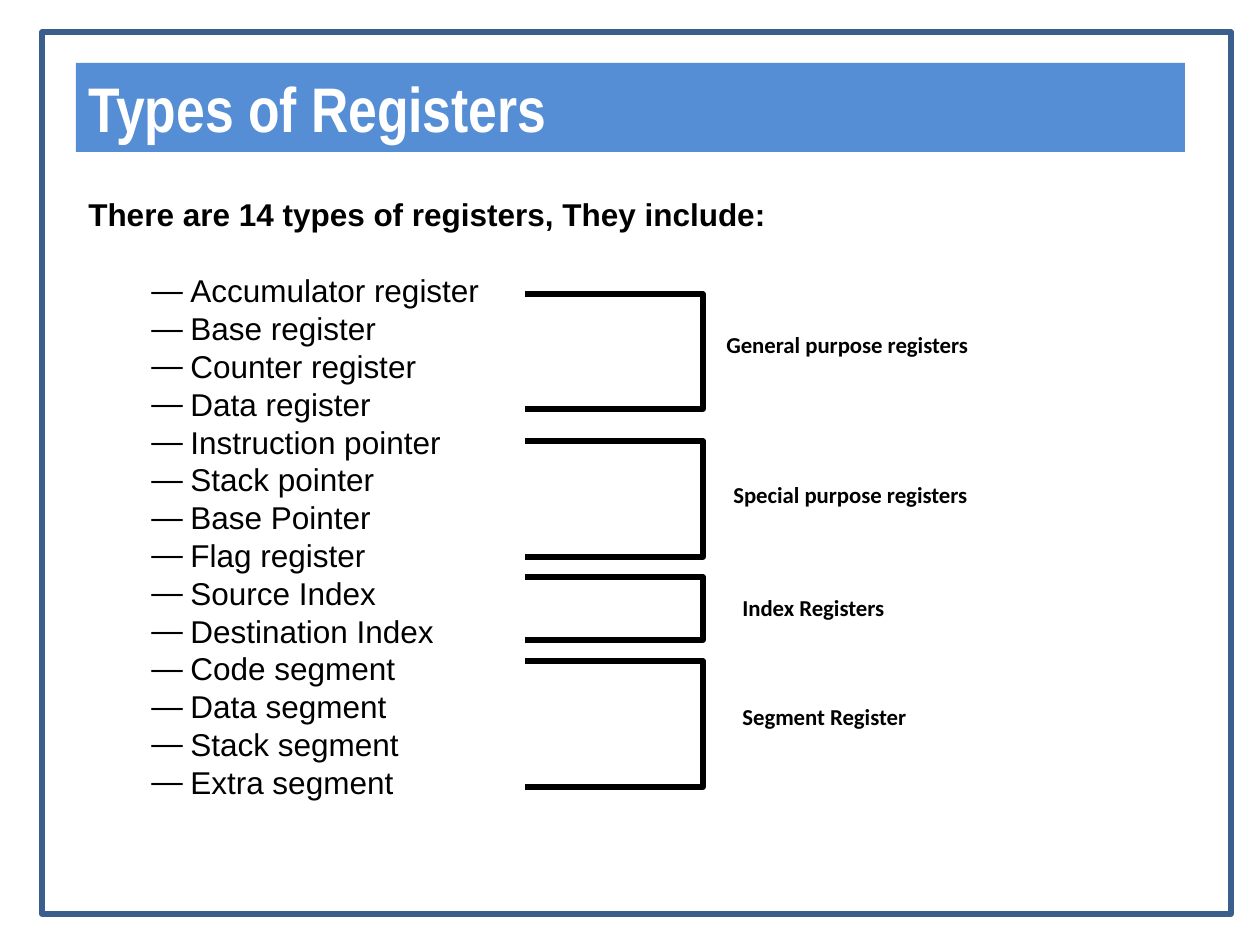
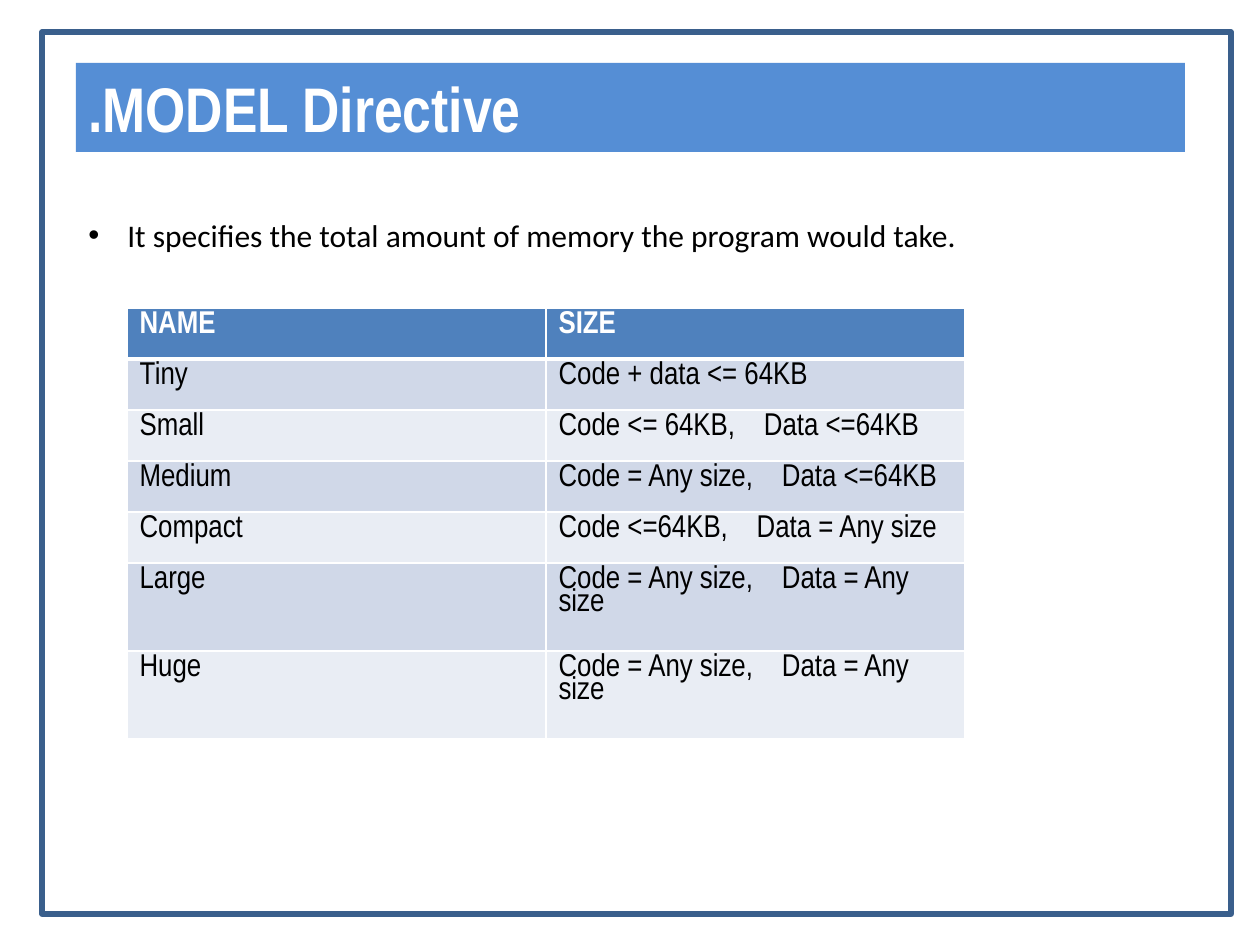
from dataclasses import dataclass

from lxml.etree import SubElement
from pptx import Presentation
from pptx.dml.color import RGBColor
from pptx.enum.shapes import MSO_SHAPE
from pptx.enum.text import MSO_ANCHOR, PP_ALIGN
from pptx.oxml.ns import qn
from pptx.util import Pt

SCALE = 914400 / 126


@dataclass(frozen=True)
class Theme:
    band: str = "558ED5"
    frame: str = "3A5F8C"
    head: str = "4F81BD"
    odd: str = "D0D8E8"
    even: str = "E9EDF4"
    white: str = "FFFFFF"
    black: str = "000000"
    narrow: str = "Arial Narrow"
    sans: str = "Arial"
    plain: str = "Calibri"
    title: int = 36
    body: int = 18
    label: int = 13
    stroke: int = 3


T = Theme()

ITEMS = [
    "Accumulator register", "Base register", "Counter register",
    "Data register", "Instruction pointer", "Stack pointer",
    "Base Pointer", "Flag register", "Source Index", "Destination Index",
    "Code segment", "Data segment", "Stack segment", "Extra segment",
]

# Label, its left and top, then the top and bottom of its bracket
GROUPS = [
    ("General purpose registers", 714, 325, 294, 409),
    ("Special purpose registers", 721, 475, 441, 557),
    ("Index Registers", 730, 588, 577, 640),
    ("Segment Register", 730, 697, 661, 787),
]

# Model name, then the parts of its size
MODELS = [
    ("NAME", "SIZE"),
    ("Tiny", "Code + data <= 64KB"),
    ("Small", "Code <= 64KB,", "Data <=64KB"),
    ("Medium", "Code = Any size,", "Data <=64KB"),
    ("Compact", "Code <=64KB,", "Data = Any size"),
    ("Large", "Code = Any size,", "Data = Any size"),
    ("Huge", "Code = Any size,", "Data = Any size"),
]
HEIGHTS = [51] * 5 + [88] * 2


def px(num):
    return round(num * SCALE)


def box(*nums):
    return [px(num) for num in nums]


def rgb(code):
    return RGBColor.from_string(code)


def style(para, font, size, color=T.black, bold=False):
    for run in para.runs:
        run.font.name = font
        run.font.size = Pt(size)
        run.font.bold = bold
        run.font.color.rgb = rgb(color)


def bullet(para, mark, left, hang):
    props = para._p.get_or_add_pPr()
    props.set("marL", str(px(left)))
    props.set("indent", str(-px(hang)))
    SubElement(props, qn("a:buFont")).set("typeface", T.sans)
    SubElement(props, qn("a:buChar")).set("char", mark)


def add_text(slide, area, text):
    """Add a wrapping text box and return its text frame."""
    frame = slide.shapes.add_textbox(*box(*area)).text_frame
    frame.word_wrap = True
    frame.text = text
    return frame


def add_rect(slide, area):
    shape = slide.shapes.add_shape(MSO_SHAPE.RECTANGLE, *box(*area))
    shape.shadow.inherit = False
    return shape


def outline(shape, color):
    shape.shadow.inherit = False
    shape.fill.background()
    shape.line.color.rgb = rgb(color)
    shape.line.width = Pt(T.stroke)


def add_slide(deck, title):
    """Start a slide with the title band and the outer frame."""
    slide = deck.slides.add_slide(deck.slide_layouts[6])
    band = add_rect(slide, (76, 63, 1109, 89))
    band.fill.solid()
    band.fill.fore_color.rgb = rgb(T.band)
    band.line.fill.background()
    frame = band.text_frame
    frame.word_wrap = True
    frame.vertical_anchor = MSO_ANCHOR.TOP
    frame.text = title
    frame.paragraphs[0].alignment = PP_ALIGN.LEFT
    style(frame.paragraphs[0], T.narrow, T.title, T.white, True)
    outline(add_rect(slide, (42, 32, 1189, 882)), T.frame)
    return slide


def add_list(slide, lead, items):
    frame = add_text(slide, (76, 189, 1109, 624), lead)
    style(frame.paragraphs[0], T.sans, T.body, bold=True)
    for num, item in enumerate(items):
        para = frame.add_paragraph()
        para.text = item
        para.level = 1
        para.line_spacing = Pt(21.6)
        para.space_before = Pt(0 if num else 22)
        bullet(para, "―", 102, 39)
        style(para, T.sans, T.body)


def add_group(slide, label, left, top, start, end):
    """Draw a bracket open to the left, with its label."""
    near, far = 525, 703
    path = slide.shapes.build_freeform(px(near), px(start))
    points = [(far, start), (far, end), (near, end)]
    path.add_line_segments([box(*point) for point in points], close=False)
    outline(path.convert_to_shape(), T.black)
    frame = add_text(slide, (left, top, 290, 40), label)
    style(frame.paragraphs[0], T.plain, T.label, bold=True)


def add_edge(cell, side, width):
    line = SubElement(cell._tc.get_or_add_tcPr(), qn(f"a:ln{side}"))
    line.set("w", str(Pt(width)))
    fill = SubElement(line, qn("a:solidFill"))
    SubElement(fill, qn("a:srgbClr")).set("val", T.white)


def fill_cell(cell, parts, row):
    """Write the parts with a wide gap between them, then paint the cell."""
    para = cell.text_frame.paragraphs[0]
    para.text = parts[0]
    para.line_spacing = 0.8
    for part in parts[1:]:
        gap = para.add_run()
        gap.text = " "
        gap.font._element.set("spc", "1230")
        para.add_run().text = part
    head = row == 0
    style(para, T.narrow, T.body, T.white if head else T.black, head)
    for side in "LRTB":
        thick = (row, side) in ((0, "B"), (1, "T"))
        add_edge(cell, side, T.stroke if thick else 1)
    cell.fill.solid()
    color = T.head if head else T.odd if row % 2 else T.even
    cell.fill.fore_color.rgb = rgb(color)


def add_grid(slide, rows):
    area = box(127, 308, 838, sum(HEIGHTS))
    table = slide.shapes.add_table(len(rows), 2, *area).table
    table.horz_banding = False
    for num, (name, *parts) in enumerate(rows):
        table.rows[num].height = px(HEIGHTS[num])
        fill_cell(table.cell(num, 0), [name], num)
        fill_cell(table.cell(num, 1), parts, num)


def main():
    deck = Presentation()
    deck.slide_width, deck.slide_height = box(1260, 945)

    slide = add_slide(deck, "Types of Registers")
    add_list(slide, "There are 14 types of registers, They include:", ITEMS)
    for group in GROUPS:
        add_group(slide, *group)

    slide = add_slide(deck, ".MODEL Directive")
    note = "It specifies the total amount of memory the program would take."
    para = add_text(slide, (76, 210, 1109, 89), note).paragraphs[0]
    bullet(para, "•", 39, 39)
    style(para, T.plain, T.body)
    add_grid(slide, MODELS)

    deck.save("out.pptx")


if __name__ == "__main__":
    main()
